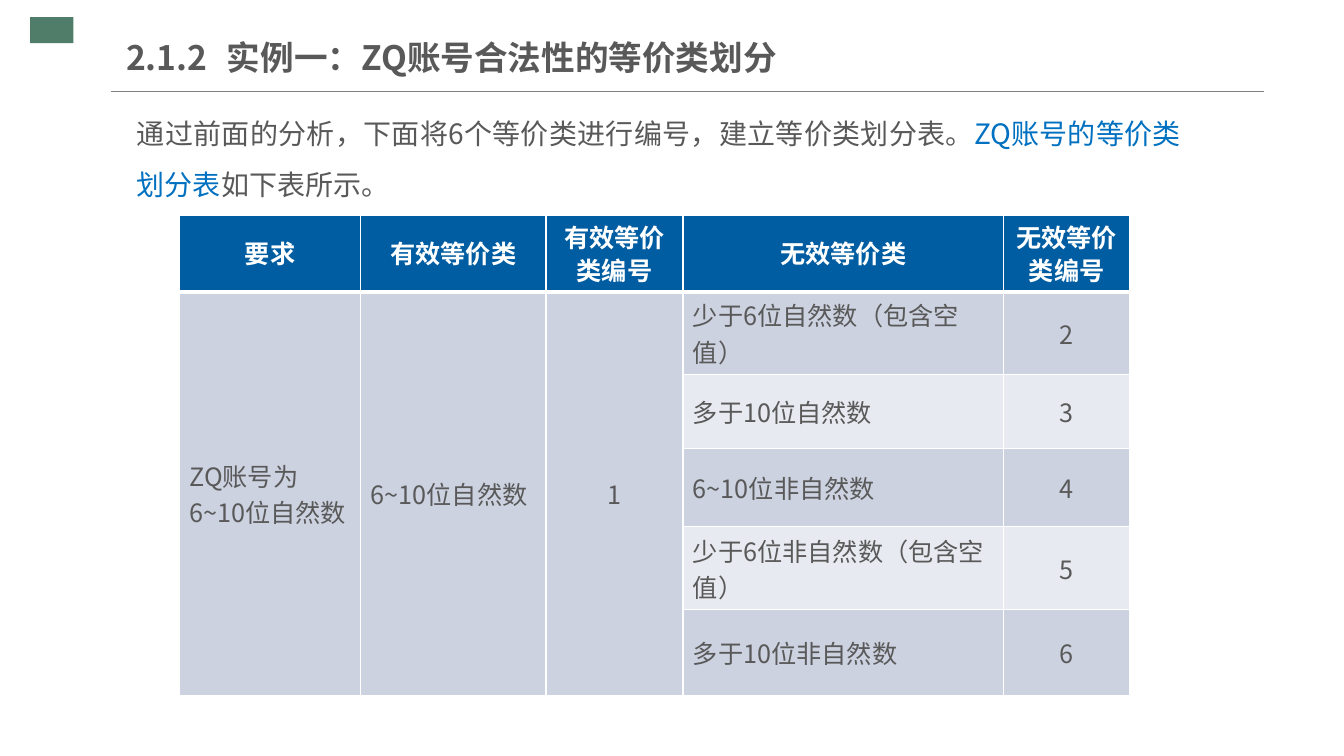
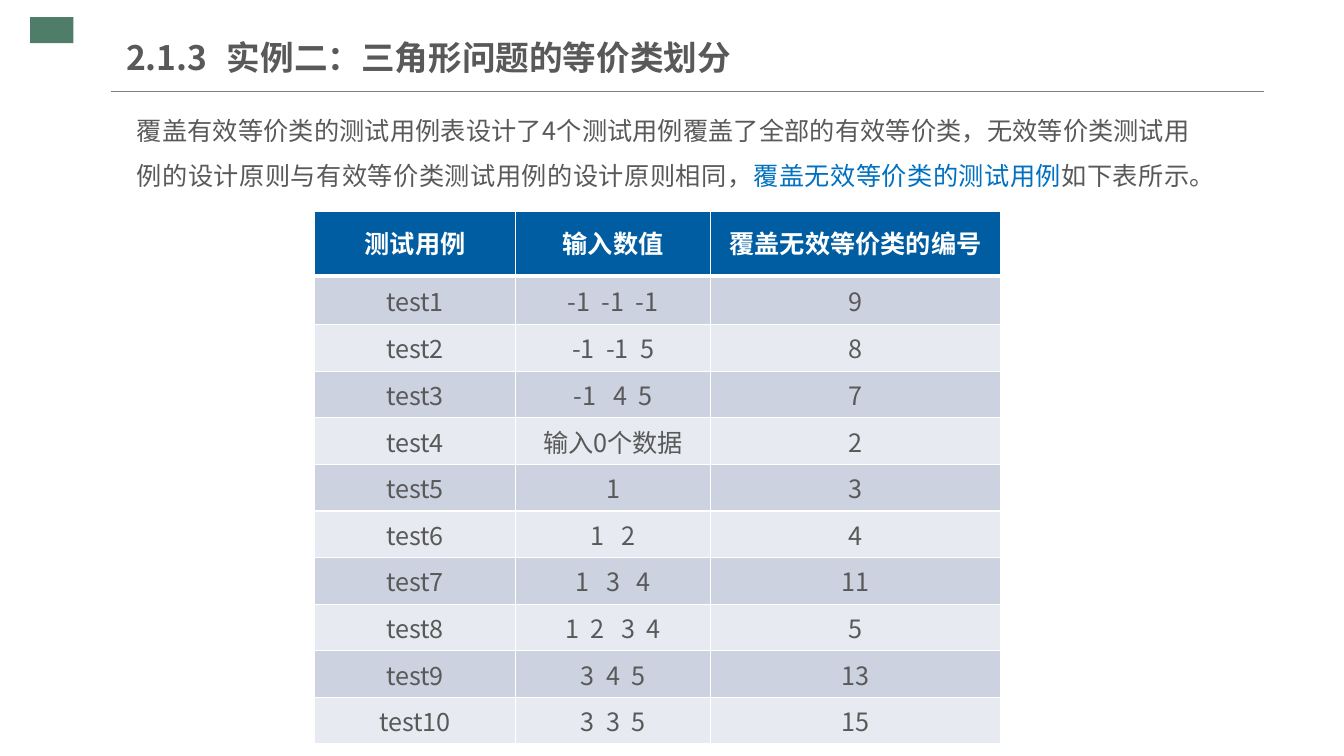
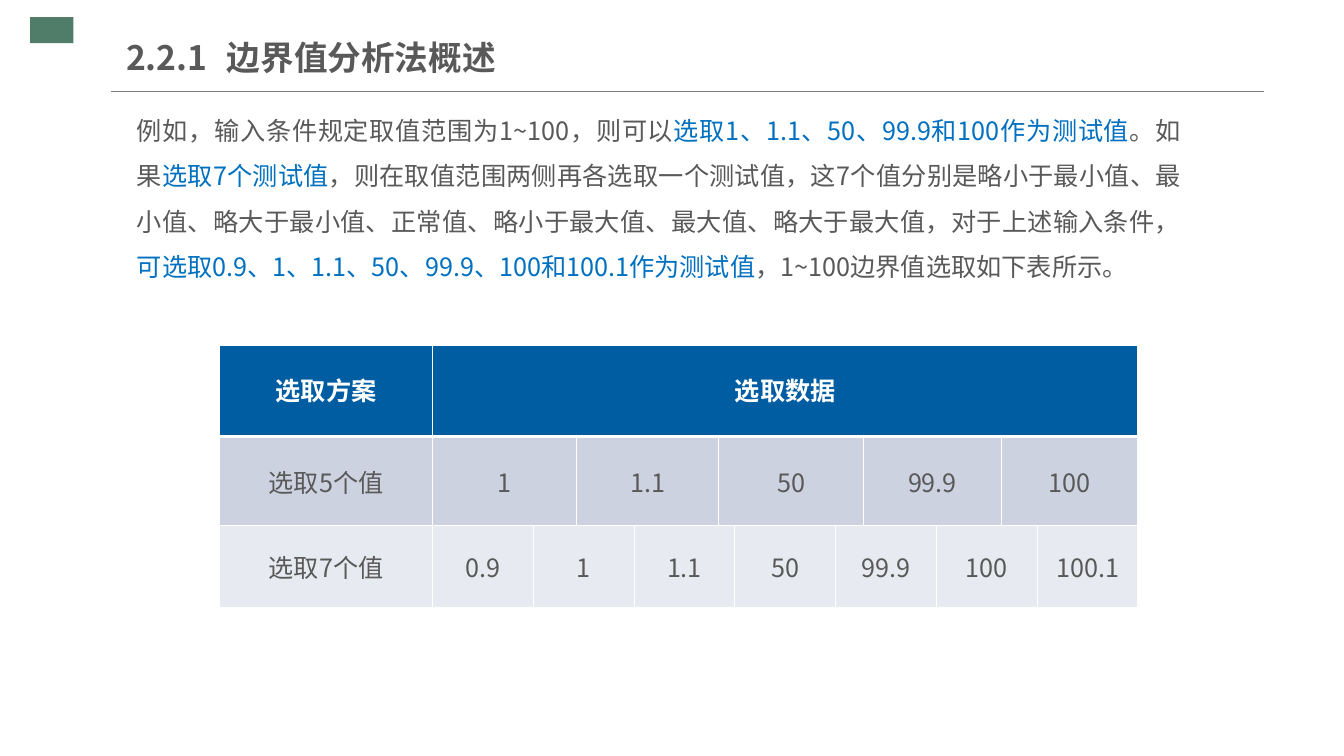
from lxml import etree
from pptx import Presentation
from pptx.dml.color import RGBColor
from pptx.enum.shapes import MSO_CONNECTOR, MSO_SHAPE
from pptx.enum.text import MSO_ANCHOR, MSO_AUTO_SIZE, PP_ALIGN
from pptx.oxml.ns import qn
from pptx.util import Cm, Pt

# Shared style
FONT = "Noto Sans CJK SC"
GREEN = RGBColor(0x4F, 0x7D, 0x6A)
RULE_GREY = RGBColor(0x80, 0x80, 0x80)
INK = RGBColor(0x59, 0x59, 0x59)
ACCENT = RGBColor(0x00, 0x70, 0xC0)
WHITE = RGBColor(0xFF, 0xFF, 0xFF)
HEADER_BLUE = RGBColor(0x00, 0x5D, 0xA2)
BANDS = (RGBColor(0xCC, 0xD2, 0xE0), RGBColor(0xE7, 0xEA, 0xF0))
LEFT, CENTER, JUSTIFY = PP_ALIGN.LEFT, PP_ALIGN.CENTER, PP_ALIGN.JUSTIFY
TOP, MIDDLE = MSO_ANCHOR.TOP, MSO_ANCHOR.MIDDLE
NO_AUTOFIT = MSO_AUTO_SIZE.NONE
RECTANGLE, STRAIGHT = MSO_SHAPE.RECTANGLE, MSO_CONNECTOR.STRAIGHT

TITLE_FORMAT = {"size": Pt(24), "bold": True}
HEADER_FORMAT = {"size": Pt(18), "bold": True}
CELL_FORMAT = {"size": Pt(18), "bold": False}

# Table cells that continue the cell to their left or the cell above
WEST, NORTH = "<", "^"

# Content: lengths in cm; every second piece of a body text is highlighted
PAGES = [
    {
        "title": "2.1.2\t实例一：ZQ账号合法性的等价类划分",
        "body": ["通过前面的分析，下面将6个等价类进行编号，建立等价类划分表。",
                 "ZQ账号的等价类划分表", "如下表所示。"],
        "body_size": 20, "body_area": (26.97, 2.92),
        "table_at": (4.52, 5.44),
        "columns": [4.57, 4.67, 3.45, 8.08, 3.18],
        "heights": [1.37, 2.01, 1.85, 1.98, 2.01, 2.16],
        "left_columns": (0, 1, 3),
        "rows": [
            ["要求", "有效等价类", "有效等价类编号", "无效等价类", "无效等价类编号"],
            ["ZQ账号为6~10位自然数", "6~10位自然数", "1", "少于6位自然数（包含空值）", "2"],
            [NORTH, NORTH, NORTH, "多于10位自然数", "3"],
            [NORTH, NORTH, NORTH, "6~10位非自然数", "4"],
            [NORTH, NORTH, NORTH, "少于6位非自然数（包含空值）", "5"],
            [NORTH, NORTH, NORTH, "多于10位非自然数", "6"],
        ],
    },
    {
        "title": "2.1.3\t实例二：三角形问题的等价类划分",
        "body": ["覆盖有效等价类的测试用例表设计了4个测试用例覆盖了全部的有效等价类，"
                 "无效等价类测试用例的设计原则与有效等价类测试用例的设计原则相同，",
                 "覆盖无效等价类的测试用例", "如下表所示。"],
        "body_size": 18, "body_area": (27.2, 3.02),
        "table_at": (7.92, 5.33),
        "columns": [5.08, 4.9, 7.32],
        "heights": [1.63, 1.22] + [1.17] * 9,
        "left_columns": (),
        "rows": [
            ["测试用例", "输入数值", "覆盖无效等价类的编号"],
            ["test1", "-1  -1  -1", "9"],
            ["test2", "-1  -1  5", "8"],
            ["test3", "-1   4  5", "7"],
            ["test4", "输入0个数据", "2"],
            ["test5", "1", "3"],
            ["test6", "1   2", "4"],
            ["test7", "1   3   4", "11"],
            ["test8", "1  2   3  4", "5"],
            ["test9", "3  4  5", "13"],
            ["test10", "3  3  5", "15"],
        ],
    },
    {
        "title": "2.2.1\t边界值分析法概述",
        "body": ["例如，输入条件规定取值范围为1~100，则可以",
                 "选取1、1.1、50、99.9和100作为测试值", "。如果", "选取7个测试值",
                 "，则在取值范围两侧再各选取一个测试值，这7个值分别是略小于最小值、最小值、"
                 "略大于最小值、正常值、略小于最大值、最大值、略大于最大值，对于上述输入条件，",
                 "可选取0.9、1、1.1、50、99.9、100和100.1作为测试值",
                 "，1~100边界值选取如下表所示。"],
        "body_size": 18, "body_area": (26.97, 5.13),
        "table_at": (5.54, 8.71),
        "columns": [5.36, 2.54, 1.09, 1.45, 2.13, 0.41, 2.54, 0.71, 1.83, 1.63, 0.91, 2.54],
        "heights": [2.29, 2.24, 2.08],
        "left_columns": (),
        "rows": [
            ["选取方案", "选取数据"] + [WEST] * 10,
            ["选取5个值", "1", WEST, "1.1", WEST, "50", WEST, WEST, "99.9", WEST, "100", WEST],
            ["选取7个值", "0.9", "1", WEST, "1.1", WEST, "50", "99.9", WEST, "100", WEST, "100.1"],
        ],
    },
]


def add_span(para, text, color, text_format):
    span = para.add_run()
    span.text = text
    span.font.name = FONT
    span.font.color.rgb = color
    for name, value in text_format.items():
        setattr(span.font, name, value)
    etree.SubElement(span._r.get_or_add_rPr(), qn("a:ea"), typeface=FONT)


def set_frame(frame, side, anchor):
    values = {"margin_left": Cm(side), "margin_right": Cm(side),
              "margin_top": Cm(0.18), "margin_bottom": Cm(0.18),
              "word_wrap": True, "auto_size": NO_AUTOFIT, "vertical_anchor": anchor}
    for name, value in values.items():
        setattr(frame, name, value)


def decorate_layout(layout, page):
    """Build the corner block and title rule, then move them to the layout."""
    block = page.shapes.add_shape(RECTANGLE, Cm(0.76), Cm(0.43), Cm(1.09), Cm(0.66))
    block.shadow.inherit = False
    block.fill.solid()
    block.fill.fore_color.rgb = GREEN
    block.line.fill.background()
    rule = page.shapes.add_connector(STRAIGHT, Cm(2.79), Cm(2.31), Cm(31.85), Cm(2.31))
    rule.line.color.rgb = RULE_GREY
    rule.line.width = Pt(0.75)
    etree.SubElement(rule.element.spPr, qn("a:effectLst"))
    for part in (block, rule):
        layout.shapes.element.append(part.element)


def add_title(page, text):
    title = page.shapes.title
    title.left, title.top, title.width, title.height = Cm(3.18), Cm(0.74), Cm(17.9), Cm(1.4)
    set_frame(title.text_frame, 0, MIDDLE)
    para = title.text_frame.paragraphs[0]
    para.alignment = LEFT
    add_span(para, text, INK, TITLE_FORMAT)


def add_body(page, pieces, size, area):
    box = page.shapes.add_textbox(Cm(3.12), Cm(2.34), *map(Cm, area))
    set_frame(box.text_frame, 0.33, TOP)
    para = box.text_frame.paragraphs[0]
    para.alignment = JUSTIFY
    para.line_spacing = 1.5
    for index, piece in enumerate(pieces):
        add_span(para, piece, ACCENT if index % 2 else INK, {"size": Pt(size)})


def set_borders(cell, bottom):
    properties = cell._tc.get_or_add_tcPr()
    sides = {"a:lnL": 1, "a:lnR": 1, "a:lnT": 1, "a:lnB": bottom}
    for index, (tag, width) in enumerate(sides.items()):
        line = etree.Element(qn(tag), w=str(Pt(width)))
        fill = etree.SubElement(line, qn("a:solidFill"))
        etree.SubElement(fill, qn("a:srgbClr"), val=str(WHITE))
        properties.insert(index, line)


def merge_cells(table, rows):
    for r, row in enumerate(rows):
        for c, text in enumerate(row):
            if text in (WEST, NORTH):
                continue
            last_row, last_column = r, c
            while last_column + 1 < len(row) and row[last_column + 1] == WEST:
                last_column += 1
            while last_row + 1 < len(rows) and rows[last_row + 1][c] == NORTH:
                last_row += 1
            if (last_row, last_column) != (r, c):
                table.cell(r, c).merge(table.cell(last_row, last_column))


def add_grid(page, rows, at, columns, heights, left_columns):
    table = page.shapes.add_table(len(rows), len(columns), *map(Cm, at),
                                  Cm(sum(columns)), Cm(sum(heights))).table
    for column, width in zip(table.columns, columns):
        column.width = Cm(width)
    for row, height in zip(table.rows, heights):
        row.height = Cm(height)
    for r, row in enumerate(rows):
        header = r == 0
        for c, text in enumerate(row):
            cell = table.cell(r, c)
            cell.vertical_anchor = MIDDLE
            cell.fill.solid()
            cell.fill.fore_color.rgb = HEADER_BLUE if header else BANDS[(r - 1) % 2]
            set_borders(cell, 3 if header else 1)
            if text in (WEST, NORTH):
                continue
            para = cell.text_frame.paragraphs[0]
            para.alignment = LEFT if c in left_columns and not header else CENTER
            para.line_spacing = 0.9 if header else 1.0
            add_span(para, text, WHITE if header else INK,
                     HEADER_FORMAT if header else CELL_FORMAT)
    merge_cells(table, rows)


def main():
    deck = Presentation()
    deck.slide_width, deck.slide_height = Cm(33.87), Cm(19.05)
    layout = deck.slide_layouts[5]
    for index, content in enumerate(PAGES):
        page = deck.slides.add_slide(layout)
        if index == 0:
            decorate_layout(layout, page)
        add_title(page, content["title"])
        add_body(page, content["body"], content["body_size"], content["body_area"])
        add_grid(page, content["rows"], content["table_at"], content["columns"],
                 content["heights"], content["left_columns"])
    deck.save("out.pptx")


if __name__ == "__main__":
    main()
